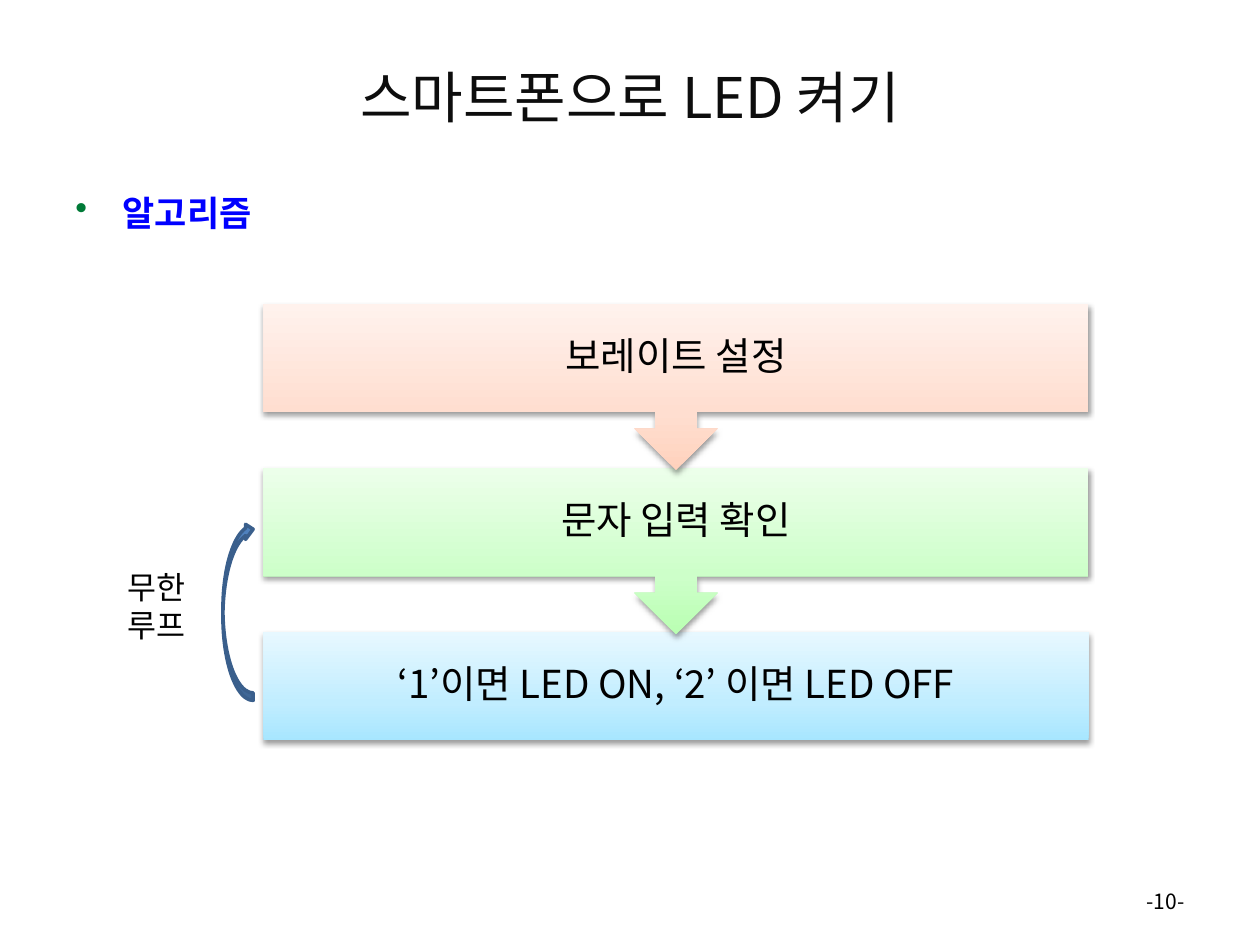
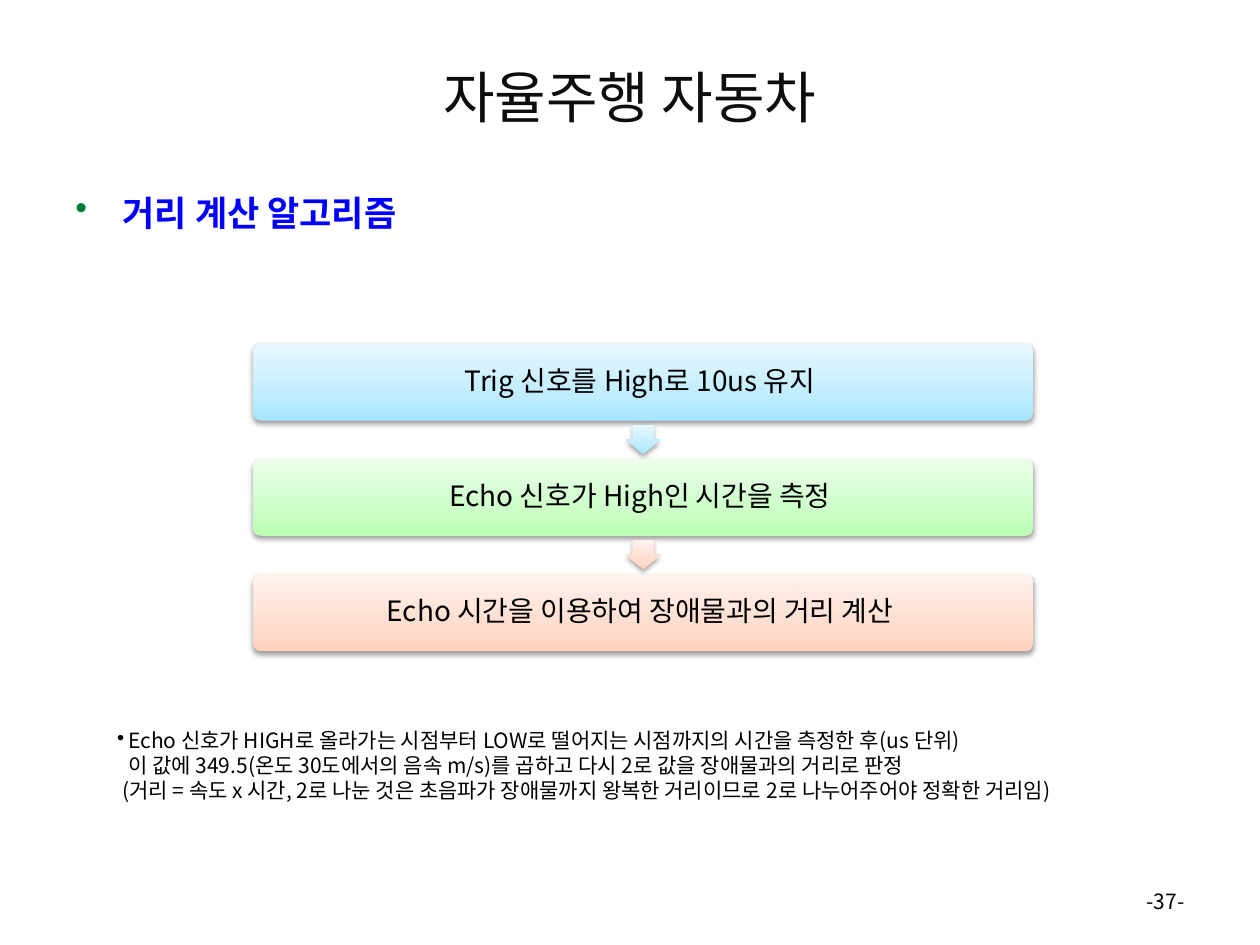
from pptx import Presentation
from pptx.dml.color import RGBColor
from pptx.enum.shapes import MSO_SHAPE
from pptx.enum.text import MSO_ANCHOR, PP_ALIGN
from pptx.oxml import parse_xml
from pptx.oxml.ns import nsdecls, qn
from pptx.util import Pt

FONT = "Noto Sans CJK KR"
BLACK, TITLE, HEADING, BULLET = "000000", "0D0D0D", "0000FF", "007A37"
BLUE = ("A7E6FF", "C1EDFF", "E7F8FF")
GREEN = ("B9FFB2", "CDFFC9", "ECFFEA")
PEACH = ("FFD2BD", "FFDED0", "FFF2ED")
LEFT, CENTER, RIGHT = PP_ALIGN.LEFT, PP_ALIGN.CENTER, PP_ALIGN.RIGHT
TOP, MIDDLE = MSO_ANCHOR.TOP, MSO_ANCHOR.MIDDLE


def add_text(s, box, lines, size, color=BLACK, align=LEFT, anchor=MIDDLE, inset=None):
    tf = s.shapes.add_textbox(*map(Pt, box)).text_frame
    tf.word_wrap = True
    tf.vertical_anchor = anchor
    if inset:
        tf.margin_left = tf.margin_right = tf.margin_top = tf.margin_bottom = Pt(inset)
    for i, line in enumerate(lines):
        p = tf.paragraphs[0] if i == 0 else tf.add_paragraph()
        p.alignment = align
        if inset:
            p.line_spacing = 0.9
            p.space_after = Pt(0.35 * size)
        r = p.add_run()
        r.text = line
        r.font.name = FONT
        r.font.size = Pt(size)
        r.font.color.rgb = RGBColor.from_string(color)
        ea = parse_xml(f'<a:ea {nsdecls("a")} typeface="{FONT}"/>')
        r.font._element.find(qn("a:latin")).addnext(ea)
    return tf.paragraphs


def add_block(s, kind, box, colors, rotation=0):
    sp = s.shapes.add_shape(kind, *map(Pt, box))
    sp.rotation = rotation
    sp.line.fill.background()
    stops = "".join(
        f'<a:gs pos="{pos}"><a:srgbClr val="{c}"/></a:gs>'
        for pos, c in zip((0, 35000, 100000), colors))
    spPr = sp._element.spPr
    spPr.find(qn("a:prstGeom")).addnext(parse_xml(
        f'<a:gradFill {nsdecls("a")} rotWithShape="0"><a:gsLst>{stops}</a:gsLst>'
        '<a:lin ang="16200000" scaled="0"/></a:gradFill>'))
    spPr.append(parse_xml(
        f'<a:effectLst {nsdecls("a")}><a:outerShdw blurRad="{Pt(3.1)}" dist="{Pt(1.6)}" '
        'dir="5400000" rotWithShape="0"><a:srgbClr val="000000"><a:alpha val="38000"/>'
        '</a:srgbClr></a:outerShdw></a:effectLst>'))
    return sp


prs = Presentation()
prs.slide_width, prs.slide_height = Pt(720), Pt(540)

slides = []
for title, heading, number in (
        ("스마트폰으로 LED 켜기", "알고리즘", "-10-"),
        ("자율주행 자동차", "거리 계산 알고리즘", "-37-")):
    s = prs.slides.add_slide(prs.slide_layouts[6])
    add_text(s, (36, 21.6, 648, 67), [title], 32, TITLE, CENTER)
    p = add_text(s, (36, 105.8, 648, 376.6), [heading], 20, HEADING, anchor=TOP)[0]
    p.runs[0].font.bold = True
    p.space_before = Pt(4)
    pPr = p._p.get_or_add_pPr()
    pPr.set("marL", str(Pt(27)))
    pPr.set("indent", str(Pt(-27)))
    pPr.append(parse_xml(f'<a:buClr {nsdecls("a")}><a:srgbClr val="{BULLET}"/></a:buClr>'))
    pPr.append(parse_xml(f'<a:buChar {nsdecls("a")} char="•"/>'))
    add_text(s, (516.2, 500.4, 167.8, 28.8), [number], 12, align=RIGHT)
    slides.append(s)
led, car = slides

led_steps = (("보레이트 설정", PEACH), ("문자 입력 확인", GREEN),
             ("‘1’이면 LED ON, ‘2’ 이면 LED OFF", BLUE))
for i in (2, 1, 0):
    label, colors = led_steps[i]
    top = 173.6 + 93.9 * i
    if i == 2:
        add_block(led, MSO_SHAPE.RECTANGLE, (150.5, top, 471.6, 61.8), colors)
    else:
        add_block(led, MSO_SHAPE.UP_ARROW_CALLOUT, (150.5, top, 471.6, 95), colors, 180)
    add_text(led, (150.5, top, 471.6, 61.8), [label], 22, align=CENTER, inset=12.2)

loop = led.shapes.add_shape(MSO_SHAPE.CURVED_RIGHT_ARROW, Pt(127.4), Pt(298.1), Pt(17.3), Pt(102.2))
loop.shadow.inherit = False
loop.fill.solid()
loop.fill.fore_color.rgb = RGBColor.from_string("4F81BD")
loop.line.color.rgb = RGBColor.from_string("3A5F8C")
loop.line.width = Pt(2)
loop._element.spPr.find(qn("a:xfrm")).set("flipV", "1")
add_text(led, (65.5, 321.1, 51.1, 51.1), ["무한", "루프"], 18, anchor=TOP)

car_steps = (("Trig 신호를 High로 10us 유지 ", BLUE, BLUE),
             ("Echo 신호가 High인 시간을 측정 ", GREEN, PEACH),
             ("Echo 시간을 이용하여 장애물과의 거리 계산 ", PEACH, None))
for i, (label, colors, arrow_colors) in enumerate(car_steps):
    top = 196.4 + 65.9 * i
    sp = add_block(car, MSO_SHAPE.ROUNDED_RECTANGLE, (144.7, top, 445.7, 43.9), colors)
    sp.adjustments[0] = 0.1
    add_text(car, (146, top + 1.3, 443.1, 41.3), [label], 16, align=CENTER, inset=5)
    if arrow_colors:
        arrow = add_block(car, MSO_SHAPE.RIGHT_ARROW, (359.3, top + 45, 16.5, 19.6), arrow_colors, 90)
        arrow.adjustments[0] = 0.6

note = add_text(car, (59.8, 411.8, 617.8, 51.1), [
    "Echo 신호가 HIGH로 올라가는 시점부터 LOW로 떨어지는 시점까지의 시간을 측정한 후(us 단위)",
    "이 값에 349.5(온도 30도에서의 음속 m/s)를 곱하고 다시 2로 값을 장애물과의 거리로 판정",
    "(거리 = 속도 x 시간, 2로 나눈 것은 초음파가 장애물까지 왕복한 거리이므로 2로 나누어주어야 정확한 거리임)",
], 12)
for p, margin in zip(note, (6.4, 6.4, 3)):
    p._p.get_or_add_pPr().set("marL", str(Pt(margin)))
pPr = note[0]._p.get_or_add_pPr()
pPr.set("indent", str(Pt(-6.4)))
pPr.append(parse_xml(f'<a:buChar {nsdecls("a")} char="•"/>'))

prs.save("out.pptx")
